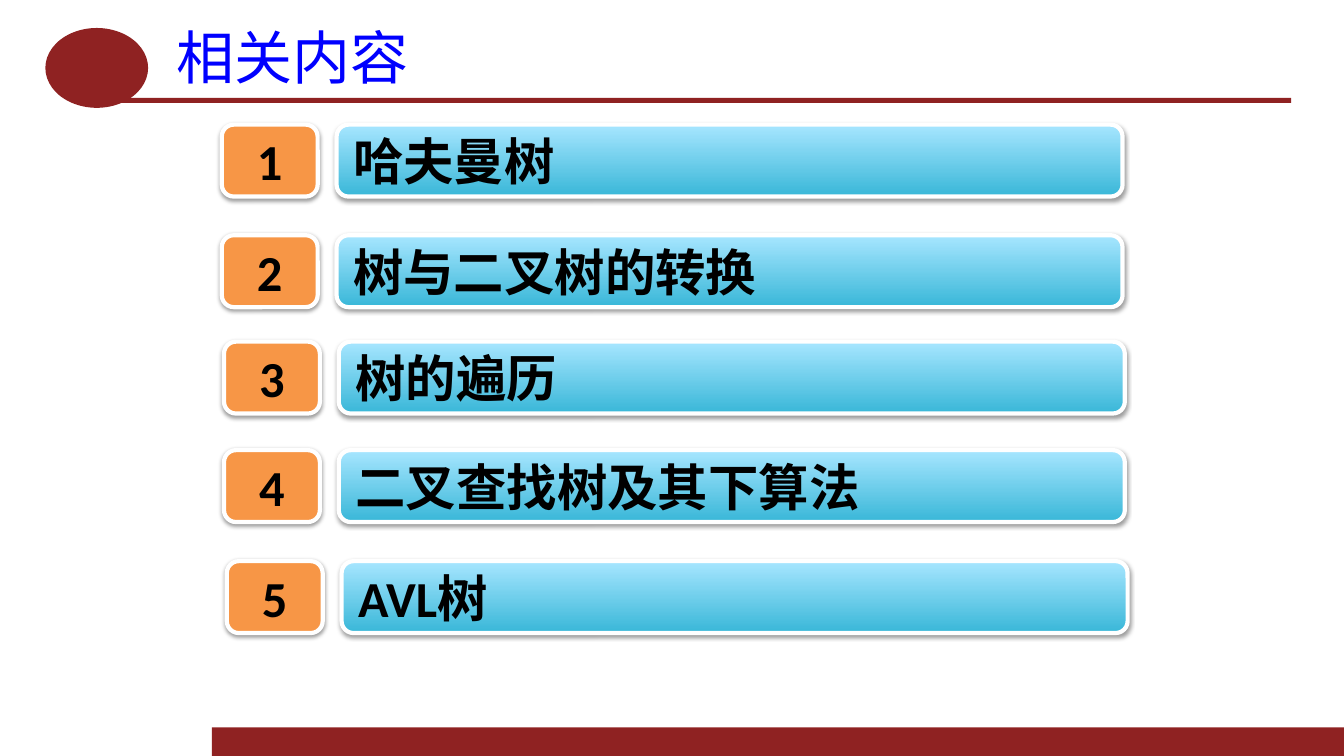
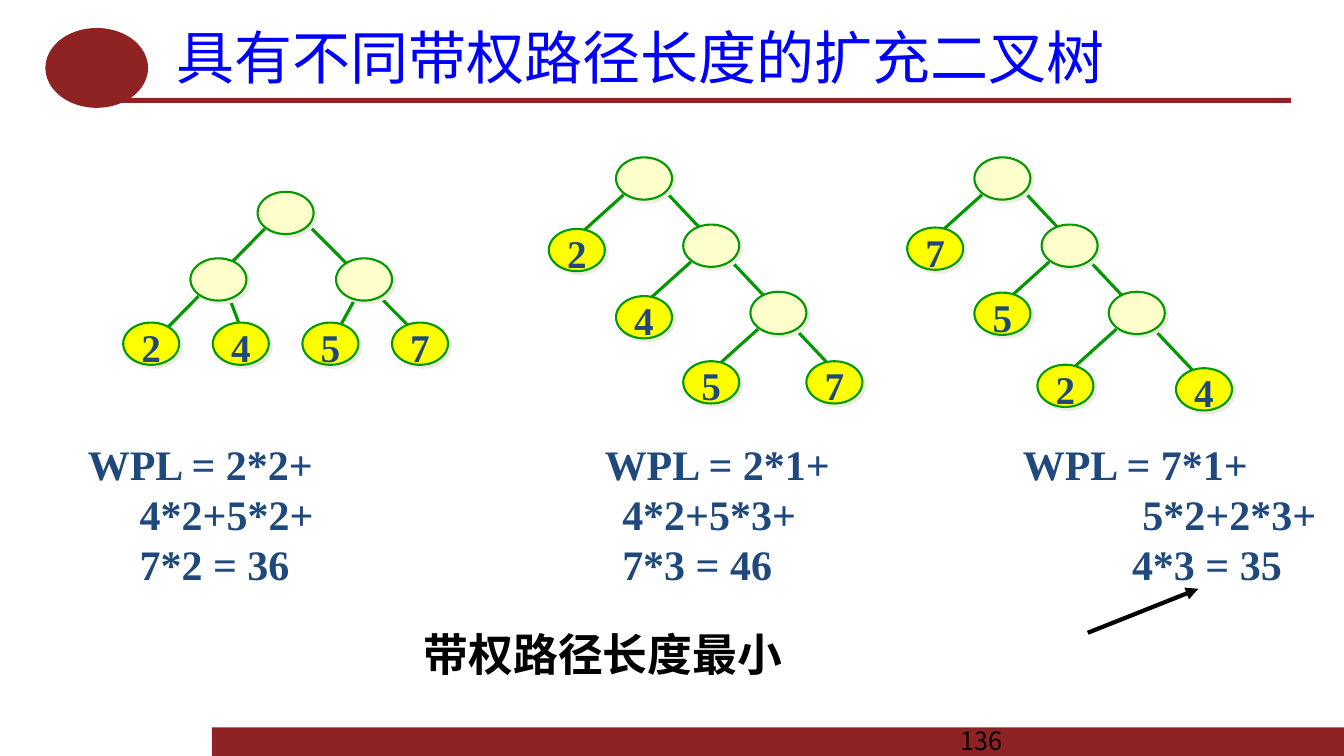
from typing import NamedTuple

from pptx import Presentation
from pptx.dml.color import RGBColor
from pptx.enum.shapes import MSO_CONNECTOR, MSO_SHAPE
from pptx.enum.text import MSO_ANCHOR, PP_ALIGN
from pptx.oxml import parse_xml
from pptx.oxml.ns import nsdecls, qn
from pptx.util import Pt

# Colours and fonts
MAROON = RGBColor(0x8F, 0x22, 0x22)
TITLE_BLUE = RGBColor(0x00, 0x00, 0xFF)
NAVY = RGBColor(0x1F, 0x49, 0x7D)
BLACK = RGBColor(0, 0, 0)
WHITE = RGBColor(0xFF, 0xFF, 0xFF)
ORANGE = RGBColor(0xF7, 0x96, 0x46)
BAR_DARK = RGBColor(0x39, 0xB7, 0xD8)
BAR_LIGHT = RGBColor(0xA7, 0xE6, 0xFF)
GREEN = RGBColor(0x00, 0x99, 0x00)
CREAM = RGBColor(0xFF, 0xFF, 0xCC)
YELLOW = RGBColor(0xFF, 0xFF, 0x00)
NODE_SHADE = RGBColor(0xEE, 0xEC, 0xE1)

HEI = "Noto Sans CJK SC"
SERIF = "Times New Roman"
SANS = "Calibri"

NODE_W, NODE_H = 40, 30.2
STEP = 48


class Style(NamedTuple):
    size: float
    name: str
    color: RGBColor
    bold: bool = True
    align: PP_ALIGN = PP_ALIGN.LEFT
    ea: str = HEI


class Shadow(NamedTuple):
    color: RGBColor
    alpha: int
    blur: float
    dist: float
    angle: int


class Row(NamedTuple):
    left: float
    top: float
    text: str


class Node(NamedTuple):
    left: float
    top: float
    weight: str = ""


class Edge(NamedTuple):
    x1: float
    y1: float
    x2: float
    y2: float


class Spine(NamedTuple):
    left: float
    leaves: tuple[Node, ...]


class Formula(NamedTuple):
    left: float
    lines: tuple[str, ...]
    indents: tuple[float, ...]


TITLE = Style(41.4, HEI, TITLE_BLUE, bold=False)
PAGE_NO = Style(18, "Noto Sans CJK JP", BLACK, bold=False)
NUMBER = Style(36, SANS, BLACK, align=PP_ALIGN.CENTER)
TOPIC = Style(36, SANS, BLACK)
WEIGHT = Style(28, SERIF, NAVY, align=PP_ALIGN.CENTER)
FORMULA = Style(30, SERIF, NAVY)
REMARK = Style(32, HEI, BLACK)

BUTTON_SHADOW = Shadow(BLACK, 38, 3.1, 1.6, 90)
NODE_SHADOW = Shadow(NODE_SHADE, 100, 0, 2.8, 45)

# Slide content
ROWS = (
    Row(158.4, 89, "哈夫曼树"),
    Row(158.4, 168, "树与二叉树的转换"),
    Row(160, 244, "树的遍历"),
    Row(160, 321.5, "二叉查找树及其下算法"),
    Row(162, 400.8, "AVL树"),
)

BALANCED_NODES = (
    Node(184, 137), Node(136, 184.5), Node(240, 184.5),
    *(Node(88 + 64 * i, 230.4, w) for i, w in enumerate("2457")),
)
BALANCED_EDGES = (
    Edge(208, 148.5, 304, 245), Edge(256, 209, 240, 238.5),
    Edge(160, 202.5, 176, 245), Edge(192, 160.5, 103.5, 250.5),
)
SPINE_TOP = 112.4
SPINES = (
    Spine(440, (Node(392, 163.5, "2"), Node(440, 211.5, "4"),
                Node(488, 258, "5"), Node(576, 258, "7"))),
    Spine(696, (Node(648, 162.5, "7"), Node(696, 209, "5"),
                Node(741, 260.5, "2"), Node(840, 263, "4"))),
)
FORMULAS = (
    Formula(62.8, ("WPL = 2*2+", "4*2+5*2+", "7*2 = 36"), (0, 37, 37)),
    Formula(432, ("WPL = 2*1+", "4*2+5*3+", "7*3 = 46"), (0, 12.5, 12.5)),
    Formula(730.6, ("WPL = 7*1+", "5*2+2*3+", "4*3 = 35"), (0, 85.5, 78)),
)


def write(p, text: str, style: Style) -> None:
    p.add_run().text = text
    p.alignment = style.align
    font = p.font
    font.size, font.bold, font.name = Pt(style.size), style.bold, style.name
    font.color.rgb = style.color
    ea = parse_xml(f'<a:ea {nsdecls("a")} typeface="{style.ea}"/>')
    p._p.pPr.find(qn("a:defRPr")).append(ea)


def set_frame(tf, inset_x: float, inset_y: float, wrap: bool = True) -> None:
    tf.word_wrap = wrap
    tf.vertical_anchor = MSO_ANCHOR.MIDDLE
    tf.margin_left = tf.margin_right = Pt(inset_x)
    tf.margin_top = tf.margin_bottom = Pt(inset_y)


def add_text(s, left: float, top: float, width: float, height: float,
             text: str, style: Style, inset_x: float = 0) -> None:
    tb = s.shapes.add_textbox(Pt(left), Pt(top), Pt(width), Pt(height))
    set_frame(tb.text_frame, inset_x, 0)
    write(tb.text_frame.paragraphs[0], text, style)


def add_shape(s, kind: MSO_SHAPE, left: float, top: float, width: float,
              height: float, fill: RGBColor | None = None):
    sp = s.shapes.add_shape(kind, Pt(left), Pt(top), Pt(width), Pt(height))
    sp.shadow.inherit = False
    if fill is not None:
        sp.fill.solid()
        sp.fill.fore_color.rgb = fill
    sp.line.fill.background()
    return sp


def outline(sp, color: RGBColor, width: float) -> None:
    sp.line.color.rgb = color
    sp.line.width = Pt(width)


def cast_shadow(sp, sh: Shadow) -> None:
    sp._element.spPr.find(qn("a:effectLst")).append(parse_xml(
        f'<a:outerShdw {nsdecls("a")} blurRad="{Pt(sh.blur)}" '
        f'dist="{Pt(sh.dist)}" dir="{sh.angle * 60000}" algn="ctr" '
        f'rotWithShape="0"><a:srgbClr val="{sh.color}">'
        f'<a:alpha val="{sh.alpha * 1000}"/></a:srgbClr></a:outerShdw>'))


def add_line(s, e: Edge, color: RGBColor, width: float,
             arrow: bool = False) -> None:
    c = s.shapes.add_connector(MSO_CONNECTOR.STRAIGHT, Pt(e.x1), Pt(e.y1),
                               Pt(e.x2), Pt(e.y2))
    outline(c, color, width)
    if arrow:
        c.line._get_or_add_ln().append(
            parse_xml(f'<a:tailEnd {nsdecls("a")} type="triangle"/>'))
    c._element.spPr.append(parse_xml(f'<a:effectLst {nsdecls("a")}/>'))


def new_slide(prs, title: str):
    """Blank slide with the shared bands, badge and title."""
    s = prs.slides.add_slide(prs.slide_layouts[6])
    add_shape(s, MSO_SHAPE.RECTANGLE, 151.4, 519.6, 808.6, 20.4, MAROON)
    add_shape(s, MSO_SHAPE.RECTANGLE, 85, 70, 837.2, 3.6, MAROON)
    add_shape(s, MSO_SHAPE.OVAL, 32.4, 20, 73.4, 57, MAROON)
    add_text(s, 116.6, 15, 805.6, 51, title, TITLE, 9.4)
    return s


def add_row(s, number: int, row: Row) -> None:
    badge = add_shape(s, MSO_SHAPE.ROUNDED_RECTANGLE,
                      row.left, row.top, 68.5, 51.4, ORANGE)
    bar = add_shape(s, MSO_SHAPE.ROUNDED_RECTANGLE,
                    row.left + 82, row.top, 561.5, 51.4)
    bar.fill.gradient()
    bar.fill.gradient_angle = 90
    for stop, color in zip(bar.fill.gradient_stops, (BAR_DARK, BAR_LIGHT)):
        stop.color.rgb = color
    for sp, text, style in ((badge, str(number), NUMBER),
                            (bar, row.text, TOPIC)):
        outline(sp, WHITE, 3)
        cast_shadow(sp, BUTTON_SHADOW)
        set_frame(sp.text_frame, 9.4, 4.7)
        write(sp.text_frame.paragraphs[0], text, style)


def add_node(s, node: Node) -> None:
    sp = add_shape(s, MSO_SHAPE.OVAL, node.left, node.top, NODE_W, NODE_H,
                   YELLOW if node.weight else CREAM)
    outline(sp, GREEN, 1.5)
    cast_shadow(sp, NODE_SHADOW)
    if node.weight:
        set_frame(sp.text_frame, 0, 0, wrap=False)
        sp.text_frame.margin_top = Pt(4)
        write(sp.text_frame.paragraphs[0], node.weight, WEIGHT)


def add_tree(s, edges: tuple[Edge, ...], nodes: tuple[Node, ...]) -> None:
    for edge in edges:
        add_line(s, edge, GREEN, 2.25)
    for node in nodes:
        add_node(s, node)


def add_spine(s, spine: Spine) -> None:
    """Tree whose inner nodes run down one diagonal."""
    x, y = spine.left, SPINE_TOP
    inner = tuple(Node(x + STEP * i, y + STEP * i) for i in range(3))
    left_edges = tuple(Edge(n.left + 8, n.top + 24.4, n.left - 32, n.top + 60.4)
                       for n in inner)
    diagonal = Edge(x + 24, y + 12.4, x + 160, y + 156.4)
    add_tree(s, (*left_edges, diagonal), inner + spine.leaves)


def add_formula(s, formula: Formula) -> None:
    tb = s.shapes.add_textbox(Pt(formula.left), Pt(313), Pt(225), Pt(108))
    tf = tb.text_frame
    set_frame(tf, 0, 0)
    tf.vertical_anchor = MSO_ANCHOR.TOP
    for i, (line, indent) in enumerate(zip(formula.lines, formula.indents)):
        p = tf.add_paragraph() if i else tf.paragraphs[0]
        p.line_spacing = Pt(36)
        write(p, line, FORMULA)
        p._p.pPr.set("marL", str(Pt(indent)))


def topics_slide(prs) -> None:
    s = new_slide(prs, "相关内容")
    for number, row in enumerate(ROWS, 1):
        add_row(s, number, row)


def trees_slide(prs) -> None:
    s = new_slide(prs, "具有不同带权路径长度的扩充二叉树")
    add_text(s, 676.8, 518.4, 224, 20.2, "136", PAGE_NO, 9.4)
    # Trees
    add_tree(s, BALANCED_EDGES, BALANCED_NODES)
    for spine in SPINES:
        add_spine(s, spine)
    # Path lengths and remark
    for formula in FORMULAS:
        add_formula(s, formula)
    add_text(s, 302.6, 444, 280, 46, "带权路径长度最小", REMARK)
    add_line(s, Edge(777, 452, 856, 420.6), BLACK, 3, arrow=True)


def main() -> None:
    prs = Presentation()
    prs.slide_width, prs.slide_height = Pt(960), Pt(540)
    topics_slide(prs)
    trees_slide(prs)
    prs.save("out.pptx")


if __name__ == "__main__":
    main()
